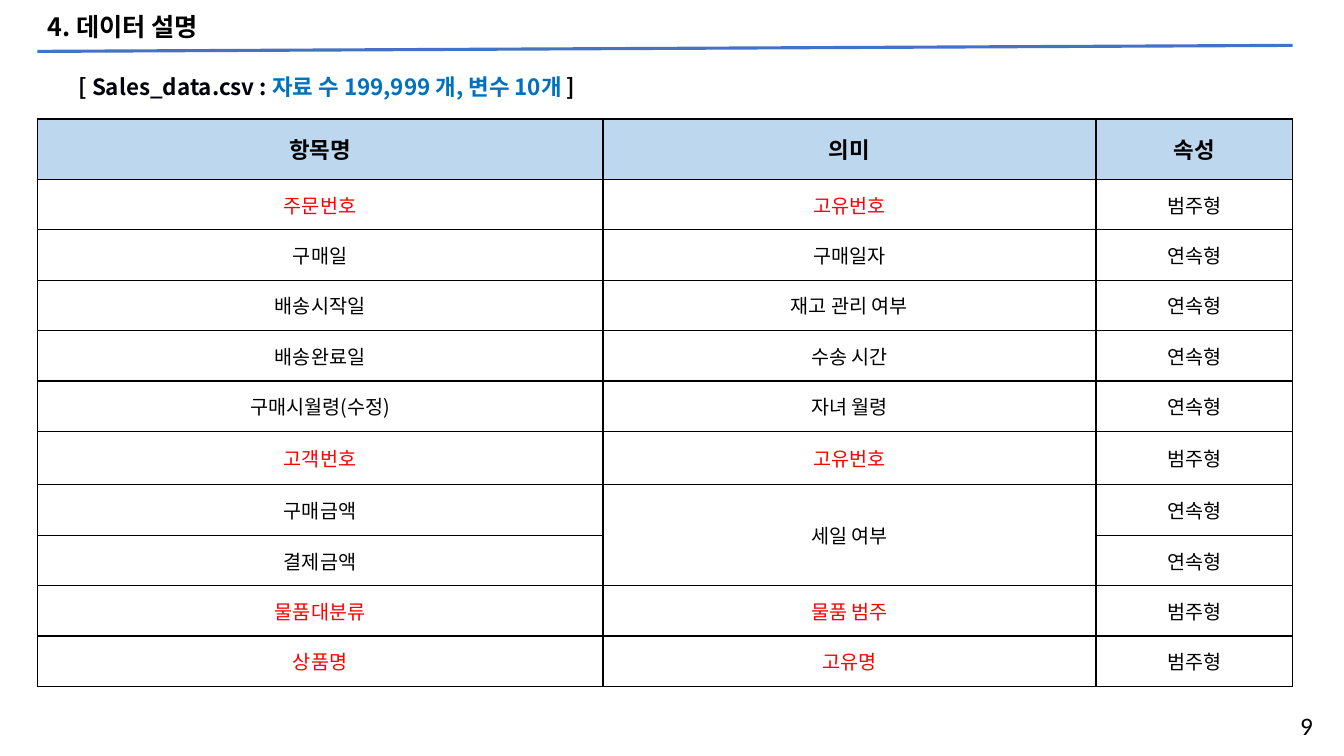
import dataclasses
import lxml.etree
import pptx
import pptx.dml.color
import pptx.enum.shapes
import pptx.enum.text
import pptx.oxml.ns
import pptx.util

Inches = pptx.util.Inches
Pt = pptx.util.Pt
Align = pptx.enum.text.PP_ALIGN
Anchor = pptx.enum.text.MSO_ANCHOR
qn = pptx.oxml.ns.qn


@dataclasses.dataclass(frozen=True)
class Theme:
    black: str = "000000"
    navy: str = "00000A"
    red: str = "FF0000"
    blue: str = "0070C0"
    rule: str = "4472C4"
    head: str = "BDD7EE"
    sans: str = "Noto Sans CJK KR"
    latin: str = "Calibri"
    large: int = 18
    medium: int = 16
    small: int = 14


THEME = Theme()
CLASS = "범주형"
RANGE = "연속형"
HEADS = ("항목명", "의미", "속성")
ROWS = (
    ("주문번호", "고유번호", CLASS),
    ("구매일", "구매일자", RANGE),
    ("배송시작일", "재고 관리 여부", RANGE),
    ("배송완료일", "수송 시간", RANGE),
    ("구매시월령(수정)", "자녀 월령", RANGE),
    ("고객번호", "고유번호", CLASS),
    ("구매금액", "세일 여부", RANGE),
    ("결제금액", "", RANGE),
    ("물품대분류", "물품 범주", CLASS),
    ("상품명", "고유명", CLASS),
)
WIDTHS = (5.61, 4.89, 1.95)
HEIGHTS = (0.6,) + (0.5,) * 5 + (0.53,) + (0.5,) * 4


def color(code):
    return pptx.dml.color.RGBColor.from_string(code)


def style(run, size, code=THEME.black, bold=False, face=THEME.sans):
    font = run.font
    font.size, font.bold, font.name = Pt(size), bold, face
    font.color.rgb = color(code)
    if face == THEME.sans:
        east = lxml.etree.SubElement(font._element, qn("a:ea"))
        east.set("typeface", face)


def place(shape, box):
    shape.left, shape.top, shape.width, shape.height = map(Inches, box)


def add_title(slide, box):
    title = slide.shapes.title
    place(title, box)
    frame = title.text_frame
    frame.text = "4. 데이터 설명"
    frame.auto_size = pptx.enum.text.MSO_AUTO_SIZE.NONE
    frame.vertical_anchor = Anchor.MIDDLE
    para = frame.paragraphs[0]
    para.alignment, para.line_spacing = Align.LEFT, 0.9
    style(para.runs[0], THEME.large, bold=True)


def add_rule(slide, box):
    left, top, width, height = box
    line = slide.shapes.add_connector(
        pptx.enum.shapes.MSO_CONNECTOR.STRAIGHT,
        Inches(left), Inches(top + height), Inches(left + width), Inches(top))
    line.line.color.rgb = color(THEME.rule)
    line.line.width = Pt(2.25)
    lxml.etree.SubElement(line._element.spPr, qn("a:effectLst"))


def add_summary(slide, box):
    frame = slide.shapes.add_textbox(*map(Inches, box)).text_frame
    frame.word_wrap = True
    frame.vertical_anchor = Anchor.MIDDLE
    para = frame.paragraphs[0]
    para.line_spacing = 0.9
    parts = (
        ("[ ", THEME.black),
        ("Sales_data.csv : ", THEME.navy),
        ("자료 수 199,999 개, 변수 10개 ", THEME.blue),
        ("]", THEME.black),
    )
    for text, code in parts:
        run = para.add_run()
        run.text = text
        style(run, THEME.medium, code, True)


def add_borders(cell):
    props = cell._tc.get_or_add_tcPr()
    for place_no, side in enumerate(("a:lnL", "a:lnR", "a:lnT", "a:lnB")):
        line = lxml.etree.Element(qn(side), w=str(Pt(1)))
        fill = lxml.etree.SubElement(line, qn("a:solidFill"))
        lxml.etree.SubElement(fill, qn("a:srgbClr"), val=THEME.black)
        props.insert(place_no, line)


def fill_cell(cell, text, code, head):
    cell.vertical_anchor = Anchor.MIDDLE
    if head:
        cell.fill.solid()
        cell.fill.fore_color.rgb = color(THEME.head)
    else:
        cell.fill.background()
    add_borders(cell)
    cell.text_frame.text = text
    para = cell.text_frame.paragraphs[0]
    para.alignment = Align.CENTER
    for run in para.runs:
        if head:
            style(run, THEME.medium, code, True, THEME.latin)
        else:
            style(run, THEME.small, code)


def add_grid(slide, box):
    data = (HEADS,) + ROWS
    table = slide.shapes.add_table(
        len(data), len(HEADS), *map(Inches, box)).table
    for col, width in zip(table.columns, WIDTHS):
        col.width = Inches(width)
    for row, height in zip(table.rows, HEIGHTS):
        row.height = Inches(height)
    for r, values in enumerate(data):
        for c, text in enumerate(values):
            key = values[-1] == CLASS and c < 2
            code = THEME.red if key else THEME.black
            fill_cell(table.cell(r, c), text, code, r == 0)
    table.cell(7, 1).merge(table.cell(8, 1))


def add_number(slide, box):
    frame = slide.shapes.add_textbox(*map(Inches, box)).text_frame
    frame.word_wrap = True
    frame.text = "9"
    para = frame.paragraphs[0]
    para.alignment = Align.RIGHT
    style(para.runs[0], THEME.large, face=THEME.latin)


def main():
    deck = pptx.Presentation()
    deck.slide_width, deck.slide_height = Inches(13.33), Inches(7.5)
    slide = deck.slides.add_slide(deck.slide_layouts[5])
    left, width = 0.37, sum(WIDTHS)
    add_rule(slide, (left, 0.45, width, 0.06))
    add_grid(slide, (left, 1.18, width, sum(HEIGHTS)))
    add_title(slide, (left, 0.08, 9.14, 0.41))
    add_number(slide, (12.14, 7, 0.98, 0.41))
    add_summary(slide, (0.68, 0.64, 5.99, 0.47))
    deck.save("out.pptx")


if __name__ == "__main__":
    main()
